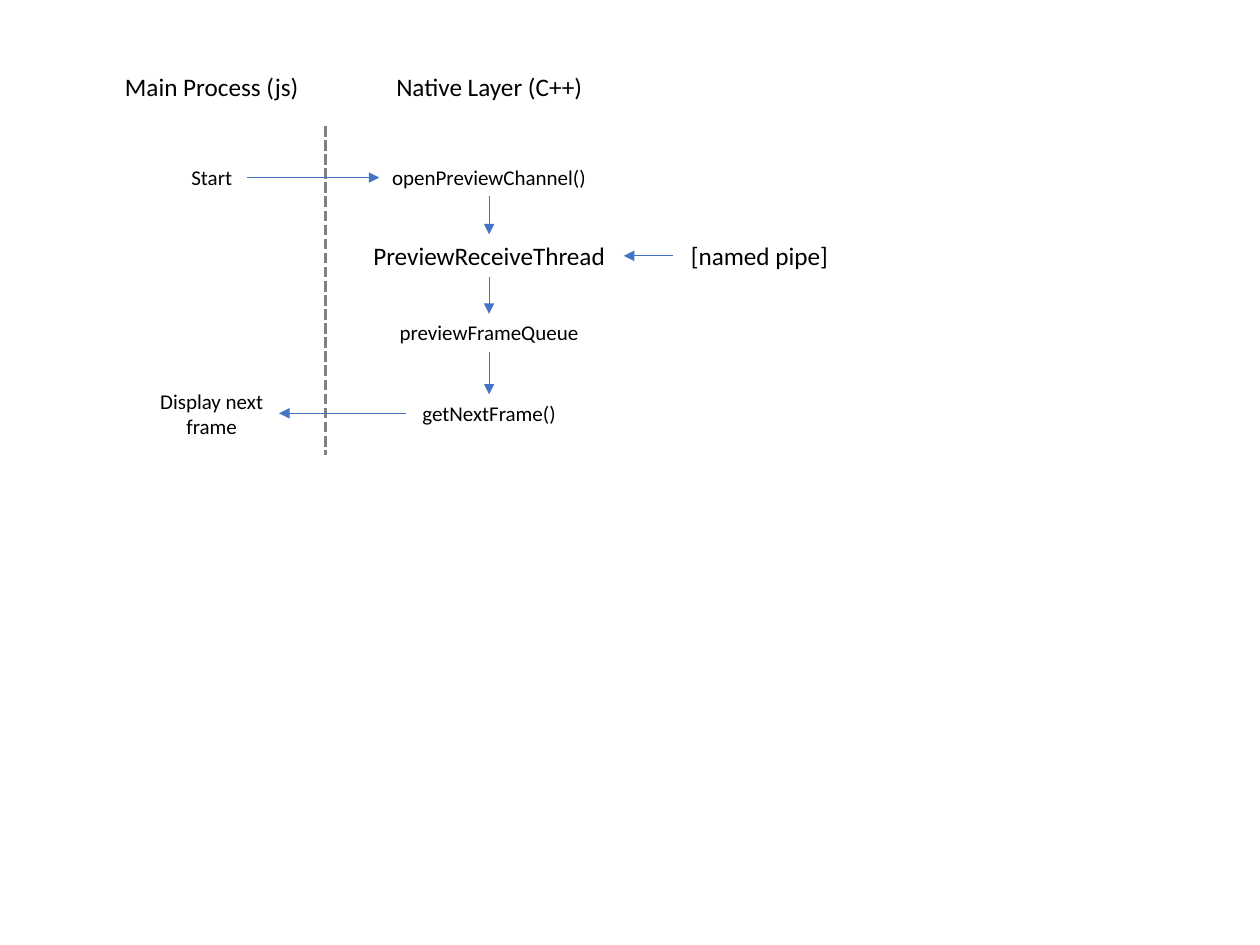
from dataclasses import dataclass

import pptx
import pptx.dml.color
import pptx.enum.dml
import pptx.enum.shapes
import pptx.enum.text
import pptx.oxml.ns
import pptx.util
from lxml import etree
from pptx.util import Pt

COLORS = {"text": "000000", "panel": "FFFFFF", "divider": "808080", "arrow": "4472C4"}
FONT = "Calibri"

# Column and row centres, in points
MAIN, NATIVE, PIPE = 121, 279.5, 434
HEADER, OPEN, THREAD, QUEUE, FRAME = 49.7, 101.5, 146.2, 190.1, 236.2

TOP, LEFT, BOTTOM, RIGHT = range(4)


@dataclass(frozen=True)
class Label:
    text: str
    center_x: float
    center_y: float
    width: float
    height: float = 21.6
    panel: bool = False
    wrap: bool = False


@dataclass(frozen=True)
class Arrow:
    start: str
    start_side: int
    end: str
    end_side: int


LABELS = {
    "main": Label("Main Process (js)", MAIN, HEADER, 114.5, 24.6, panel=True),
    "native": Label("Native Layer (C++)", NATIVE, HEADER, 129, 24.6, panel=True),
    "start": Label("Start", MAIN, OPEN, 40),
    "open": Label("openPreviewChannel()", NATIVE, OPEN, 125.5),
    "thread": Label("PreviewReceiveThread", NATIVE, THREAD, 154, 24.6, panel=True),
    "pipe": Label("[named pipe]", PIPE, THREAD, 98.6, 24.6, panel=True),
    "queue": Label("previewFrameQueue", NATIVE, QUEUE, 119.5),
    "frame": Label("getNextFrame()", NATIVE, FRAME, 95),
    "display": Label("Display next frame", MAIN, FRAME, 77, 36, wrap=True),
}

ARROWS = [
    Arrow("start", RIGHT, "open", LEFT),
    Arrow("open", BOTTOM, "thread", TOP),
    Arrow("pipe", LEFT, "thread", RIGHT),
    Arrow("thread", BOTTOM, "queue", TOP),
    Arrow("queue", BOTTOM, "frame", TOP),
    Arrow("frame", LEFT, "display", RIGHT),
]


def rgb(name: str) -> pptx.dml.color.RGBColor:
    return pptx.dml.color.RGBColor.from_string(COLORS[name])


def write_text(shape, text: str, *, size: float, color: str = "text", wrap: bool = False) -> None:
    frame = shape.text_frame
    frame.word_wrap = wrap
    frame.auto_size = pptx.enum.text.MSO_AUTO_SIZE.SHAPE_TO_FIT_TEXT
    paragraph = frame.paragraphs[0]
    paragraph.alignment = pptx.enum.text.PP_ALIGN.CENTER
    run = paragraph.add_run()
    run.text = text
    run.font.name = FONT
    run.font.size = Pt(size)
    run.font.color.rgb = rgb(color)


def add_label(slide, label: Label):
    bounds = (
        Pt(label.center_x - label.width / 2),
        Pt(label.center_y - label.height / 2),
        Pt(label.width),
        Pt(label.height),
    )
    if label.panel:
        shape = slide.shapes.add_shape(pptx.enum.shapes.MSO_SHAPE.RECTANGLE, *bounds)
        shape.shadow.inherit = False
        shape.fill.solid()
        shape.fill.fore_color.rgb = rgb("panel")
        shape.line.fill.background()
    else:
        shape = slide.shapes.add_textbox(*bounds)
    write_text(shape, label.text, size=14.4 if label.panel else 12, wrap=label.wrap)
    return shape


def add_line(slide, *, color: str, width: float, start=(0, 0), end=(0, 0)):
    connector = slide.shapes.add_connector(
        pptx.enum.shapes.MSO_CONNECTOR.STRAIGHT, *(Pt(value) for value in (*start, *end))
    )
    connector.line.color.rgb = rgb(color)
    connector.line.width = Pt(width)
    etree.SubElement(connector._element.spPr, pptx.oxml.ns.qn("a:effectLst"))
    return connector


def add_arrow(slide, arrow: Arrow, shapes: dict) -> None:
    connector = add_line(slide, color="arrow", width=0.5)
    connector.begin_connect(shapes[arrow.start], arrow.start_side)
    connector.end_connect(shapes[arrow.end], arrow.end_side)
    line = connector.line._get_or_add_ln()
    etree.SubElement(line, pptx.oxml.ns.qn("a:tailEnd"), type="triangle")


def main() -> None:
    presentation = pptx.Presentation()
    presentation.slide_width, presentation.slide_height = Pt(720), Pt(540)
    slide = presentation.slides.add_slide(presentation.slide_layouts[6])

    # Divider between the two layers
    divider = add_line(slide, color="divider", width=2, start=(186, 72), end=(186, 260))
    divider.line.dash_style = pptx.enum.dml.MSO_LINE.SQUARE_DOT

    # Headers and steps, then the flow between them
    shapes = {key: add_label(slide, label) for key, label in LABELS.items()}
    for arrow in ARROWS:
        add_arrow(slide, arrow, shapes)

    presentation.save("out.pptx")


if __name__ == "__main__":
    main()
